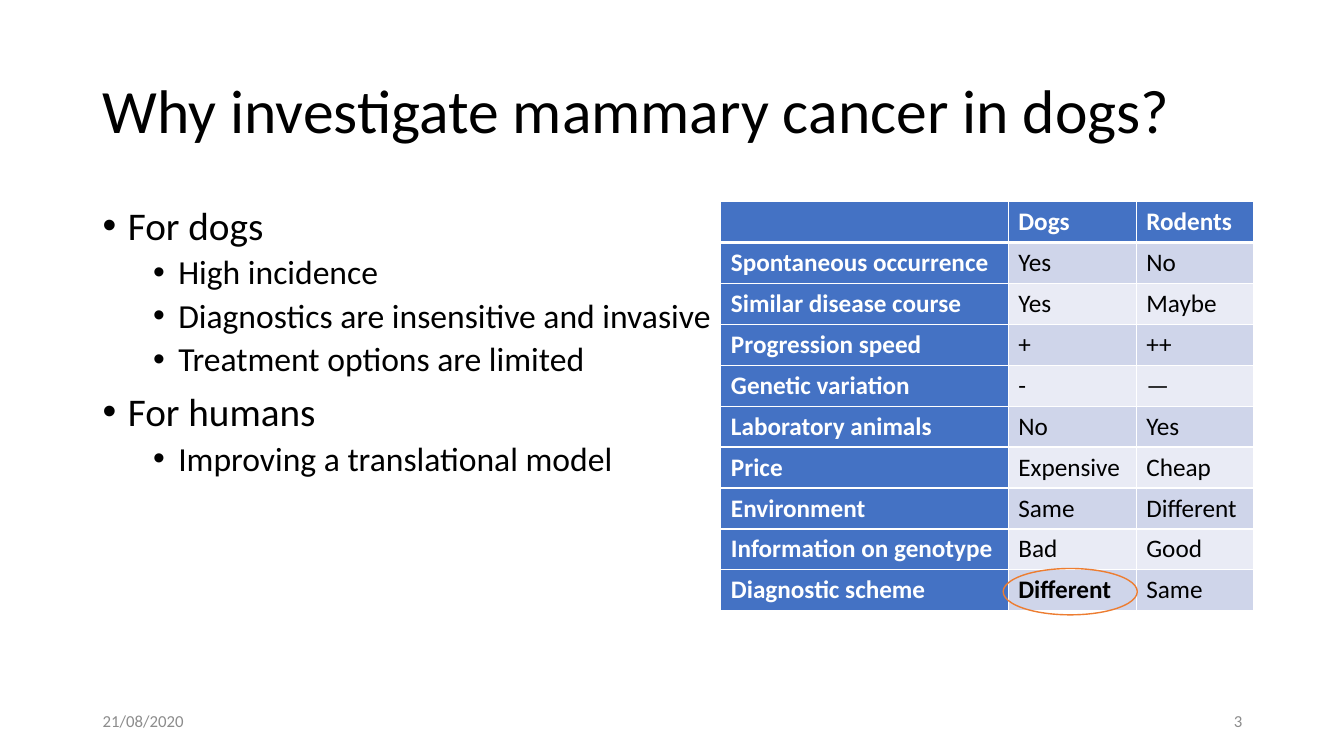
from dataclasses import dataclass

from lxml.etree import SubElement
from pptx import Presentation
from pptx.dml.color import RGBColor as Color
from pptx.enum.shapes import MSO_SHAPE as ShapeKind
from pptx.enum.text import MSO_ANCHOR as Anchor, PP_ALIGN as Align
from pptx.oxml.ns import qn
from pptx.slide import Slide
from pptx.table import _Cell as Cell
from pptx.text.text import TextFrame, _Paragraph as Paragraph
from pptx.util import Inches, Pt


@dataclass(frozen=True)
class Theme:
    font: str = "Calibri"
    black: str = "000000"
    white: str = "FFFFFF"
    grey: str = "8C8C8C"
    header: str = "4472C4"
    bands: tuple[str, str] = ("CFD5EA", "E9EBF5")
    accent: str = "ED7D31"
    title_size: int = 44
    table_size: int = 18
    footer_size: int = 12


@dataclass(frozen=True)
class Box:
    left: float
    top: float
    width: float
    height: float

    def lengths(self) -> tuple[int, ...]:
        return tuple(map(Inches, (self.left, self.top, self.width, self.height)))


@dataclass(frozen=True)
class Label:
    text: str
    box: Box
    size: int
    color: str
    align: Align = Align.LEFT
    line_spacing: float = 1.0


@dataclass(frozen=True)
class BulletLevel:
    size: int
    indent: float
    space_before: int


@dataclass(frozen=True)
class Bullet:
    text: str
    level: int = 0


THEME = Theme()
LABELS = [
    Label("Why investigate mammary cancer in dogs?", Box(0.92, 0.4, 11.5, 1.45),
          THEME.title_size, THEME.black, line_spacing=0.9),
    Label("21/08/2020", Box(0.92, 6.95, 3, 0.4), THEME.footer_size, THEME.grey),
    Label("3", Box(9.42, 6.95, 3, 0.4), THEME.footer_size, THEME.grey, Align.RIGHT),
]
BULLET_LEVELS = [BulletLevel(28, 0.25, 10), BulletLevel(24, 0.75, 5)]
BULLETS = [
    Bullet("For dogs"),
    Bullet("High incidence", 1),
    Bullet("Diagnostics are insensitive and invasive", 1),
    Bullet("Treatment options are limited", 1),
    Bullet("For humans"),
    Bullet("Improving a translational model", 1),
]
COMPARISON = [
    ("", "Dogs", "Rodents"),
    ("Spontaneous occurrence", "Yes", "No"),
    ("Similar disease course", "Yes", "Maybe"),
    ("Progression speed", "+", "++"),
    ("Genetic variation", "-", "—"),
    ("Laboratory animals", "No", "Yes"),
    ("Price", "Expensive", "Cheap"),
    ("Environment", "Same", "Different"),
    ("Information on genotype", "Bad", "Good"),
    ("Diagnostic scheme", "Different", "Same"),
]
COLUMN_WIDTHS = (2.85, 1.27, 1.16)
HIGHLIGHTED_CELL = (len(COMPARISON) - 1, 1)


def style_font(paragraph: Paragraph, size: int, color: str, bold: bool = False) -> None:
    paragraph.font.name = THEME.font
    paragraph.font.size = Pt(size)
    paragraph.font.bold = bold
    paragraph.font.color.rgb = Color.from_string(color)


def add_text_frame(slide: Slide, box: Box) -> TextFrame:
    frame = slide.shapes.add_textbox(*box.lengths()).text_frame
    frame.word_wrap = True
    return frame


def add_label(slide: Slide, label: Label) -> None:
    frame = add_text_frame(slide, label.box)
    frame.vertical_anchor = Anchor.MIDDLE
    paragraph = frame.paragraphs[0]
    paragraph.text = label.text
    paragraph.alignment = label.align
    paragraph.line_spacing = label.line_spacing
    style_font(paragraph, label.size, label.color)


def add_bullets(slide: Slide, box: Box) -> None:
    frame = add_text_frame(slide, box)
    for index, bullet in enumerate(BULLETS):
        level = BULLET_LEVELS[bullet.level]
        paragraph = frame.add_paragraph() if index else frame.paragraphs[0]
        paragraph.text = bullet.text
        paragraph.level = bullet.level
        properties = paragraph._p.get_or_add_pPr()
        properties.set("marL", str(Inches(level.indent)))
        properties.set("indent", str(Inches(-0.25)))
        SubElement(properties, qn("a:buFont"), typeface="Arial")
        SubElement(properties, qn("a:buChar"), char="•")
        paragraph.line_spacing = 0.9
        paragraph.space_before = Pt(level.space_before if index else 0)
        style_font(paragraph, level.size, THEME.black)


def add_borders(cell: Cell, top: int, bottom: int) -> None:
    """Draw white borders; must come before the cell's fill."""
    properties = cell._tc.get_or_add_tcPr()
    for side, points in (("L", 1), ("R", 1), ("T", top), ("B", bottom)):
        line = SubElement(properties, qn(f"a:ln{side}"), w=str(Pt(points)))
        fill = SubElement(line, qn("a:solidFill"))
        SubElement(fill, qn("a:srgbClr"), val=THEME.white)


def add_comparison(slide: Slide, box: Box) -> None:
    table = slide.shapes.add_table(
        len(COMPARISON), len(COLUMN_WIDTHS), *box.lengths()).table
    table.first_col = True
    for column, width in zip(table.columns, COLUMN_WIDTHS):
        column.width = Inches(width)
    for row_index, texts in enumerate(COMPARISON):
        for column_index, text in enumerate(texts):
            is_header = row_index == 0 or column_index == 0
            cell = table.cell(row_index, column_index)
            cell.text = text
            add_borders(cell, top=3 if row_index == 1 else 1,
                        bottom=3 if row_index == 0 else 1)
            cell.fill.solid()
            cell.fill.fore_color.rgb = Color.from_string(
                THEME.header if is_header else THEME.bands[(row_index - 1) % 2])
            style_font(cell.text_frame.paragraphs[0], THEME.table_size,
                       THEME.white if is_header else THEME.black,
                       is_header or (row_index, column_index) == HIGHLIGHTED_CELL)


def add_highlight(slide: Slide, box: Box) -> None:
    ellipse = slide.shapes.add_shape(ShapeKind.OVAL, *box.lengths())
    ellipse.shadow.inherit = False
    ellipse.fill.background()
    ellipse.line.color.rgb = Color.from_string(THEME.accent)
    ellipse.line.width = Pt(1)


def main() -> None:
    presentation = Presentation()
    presentation.slide_width = Inches(13.33)
    presentation.slide_height = Inches(7.5)
    slide = presentation.slides.add_slide(presentation.slide_layouts[6])
    for label in LABELS:
        add_label(slide, label)
    add_bullets(slide, Box(0.92, 2, 11.5, 4.76))
    add_comparison(slide, Box(7.15, 2, 5.28, 4.06))
    add_highlight(slide, Box(9.95, 5.64, 1.33, 0.46))
    presentation.save("out.pptx")


if __name__ == "__main__":
    main()
